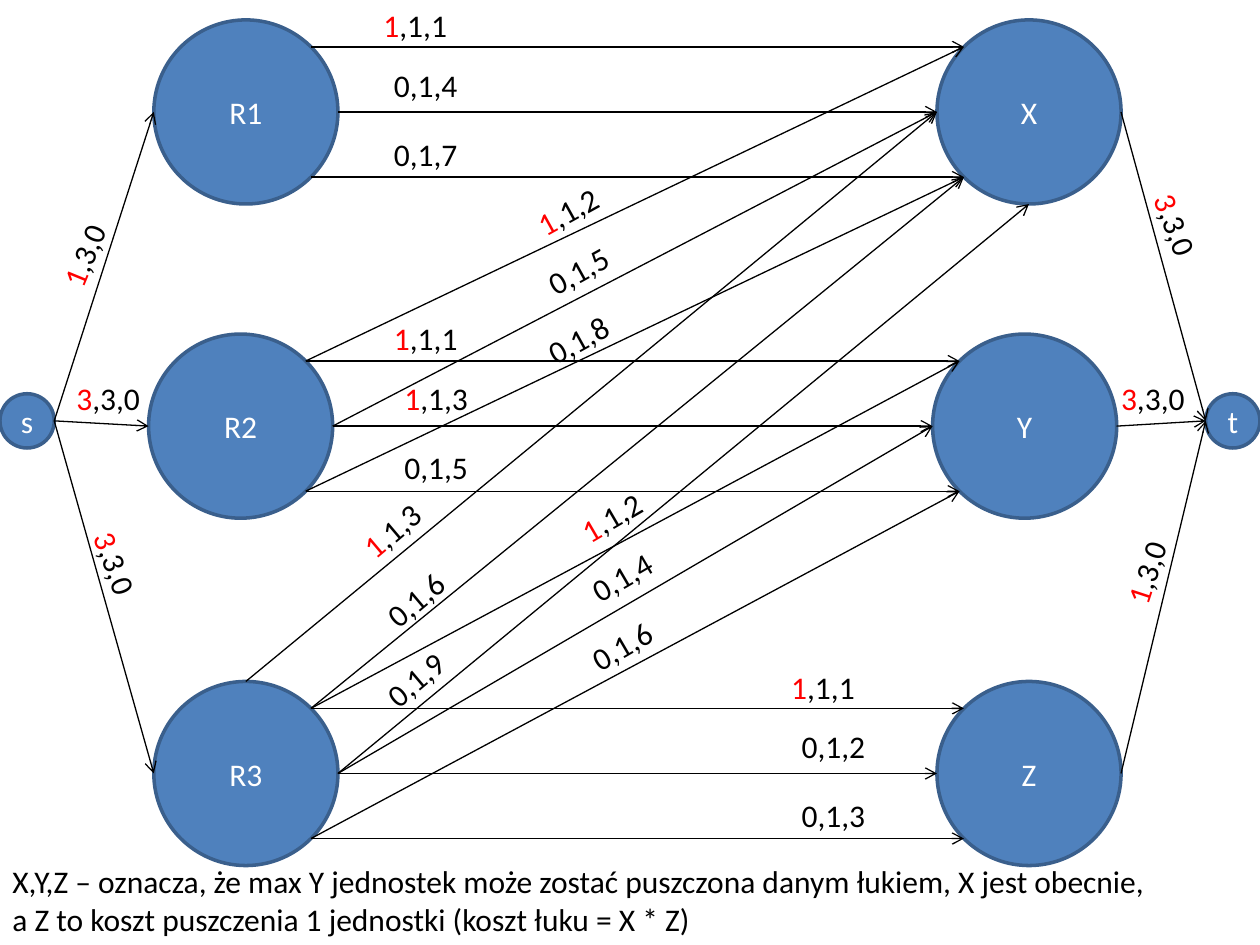
import math
from dataclasses import dataclass

import lxml.etree
import pptx
import pptx.dml.color
import pptx.enum.shapes
import pptx.enum.text
import pptx.oxml.ns
import pptx.util

Pt = pptx.util.Pt


@dataclass(frozen=True)
class Theme:
    font: str = "Calibri"
    size: float = 18
    node_fill: str = "4F81BD"
    node_line: str = "3A5F8C"
    node_text: str = "FFFFFF"
    ink: str = "000000"
    flow: str = "FF0000"
    node_line_width: float = 2
    arc_width: float = 0.75


THEME = Theme()
SMALL, LARGE = 15.5, 52.6
NODES = {
    "s": (15.5, 240.5, SMALL),
    "t": (704.5, 240.5, SMALL),
    "R1": (140.5, 64, LARGE),
    "R2": (137.5, 243.5, LARGE),
    "R3": (140.5, 442, LARGE),
    "X": (588, 64, LARGE),
    "Y": (585.5, 243.5, LARGE),
    "Z": (588, 442, LARGE),
}
SITE_ANGLES = {"E": 0, "SE": 45, "S": 90, "SW": 135, "W": 180, "NW": 225, "N": 270, "NE": 315}
PARALLEL_SITES = [("NE", "NW"), ("E", "W"), ("SE", "SW")]
STEEP_SITES = [("N", "W"), ("NE", "SW"), ("E", "S")]
ARC_BUNDLES = [
    ("R1", "X", PARALLEL_SITES),
    ("R2", "X", PARALLEL_SITES),
    ("R2", "Y", PARALLEL_SITES),
    ("R3", "X", STEEP_SITES),
    ("R3", "Y", PARALLEL_SITES),
    ("R3", "Z", PARALLEL_SITES),
]
LABEL_WIDTH, LABEL_HEIGHT = 51, 29
PARALLEL_OFFSETS = [(0, 0), (6, 34), (6, 73.5)]
STEEP_OFFSETS = [(0, 0), (13.5, 39.5), (13.5, 85)]
LABEL_BUNDLES = [
    (212, 0, 0, PARALLEL_OFFSETS, ["1,1,1", "0,1,4", "0,1,7"]),
    (299, 106, 331, PARALLEL_OFFSETS, ["1,1,2", "0,1,5", "0,1,8"]),
    (218, 179, 0, PARALLEL_OFFSETS, ["1,1,1", "1,1,3", "0,1,5"]),
    (198.5, 288.5, 319.8, STEEP_OFFSETS, ["1,1,3", "0,1,6", "0,1,9"]),
    (324, 281, 329.7, PARALLEL_OFFSETS, ["1,1,2", "0,1,4", "0,1,6"]),
    (445, 378, 0, PARALLEL_OFFSETS, ["1,1,1", "0,1,2", "0,1,3"]),
]
TERMINAL_LABELS = [
    ("1,3,0", 22.5, 131, 292.3),
    ("3,3,0", 36.5, 213, 0),
    ("3,3,0", 40.5, 307.5, 69.6),
    ("3,3,0", 646.5, 114, 69.2),
    ("3,3,0", 633.5, 213, 0),
    ("1,3,0", 629.5, 312.5, 288.1),
]
LEGEND = [
    "X,Y,Z – oznacza, że max Y jednostek może zostać puszczona danym łukiem, X jest obecnie,",
    "a Z to koszt puszczenia 1 jednostki (koszt łuku = X * Z)",
]


def rgb(value):
    return pptx.dml.color.RGBColor.from_string(value)


def style_paragraph(paragraph, color):
    paragraph.font.name = THEME.font
    paragraph.font.size = Pt(THEME.size)
    paragraph.font.color.rgb = rgb(color)


def add_node(slide, name):
    x, y, radius = NODES[name]
    shape = slide.shapes.add_shape(
        pptx.enum.shapes.MSO_SHAPE.OVAL,
        Pt(x - radius), Pt(y - radius), Pt(2 * radius), Pt(2 * radius),
    )
    shape.shadow.inherit = False
    shape.fill.solid()
    shape.fill.fore_color.rgb = rgb(THEME.node_fill)
    shape.line.color.rgb = rgb(THEME.node_line)
    shape.line.width = Pt(THEME.node_line_width)
    shape.text_frame.vertical_anchor = pptx.enum.text.MSO_ANCHOR.MIDDLE
    paragraph = shape.text_frame.paragraphs[0]
    paragraph.text = name
    paragraph.alignment = pptx.enum.text.PP_ALIGN.CENTER
    style_paragraph(paragraph, THEME.node_text)


def site_point(name, site):
    x, y, radius = NODES[name]
    angle = math.radians(SITE_ANGLES[site])
    return Pt(x + radius * math.cos(angle)), Pt(y + radius * math.sin(angle))


def add_arc(slide, source, source_site, target, target_site):
    connector = slide.shapes.add_connector(
        pptx.enum.shapes.MSO_CONNECTOR.STRAIGHT,
        *site_point(source, source_site), *site_point(target, target_site),
    )
    connector.line.color.rgb = rgb(THEME.ink)
    connector.line.width = Pt(THEME.arc_width)
    qn = pptx.oxml.ns.qn
    properties = connector.element.spPr
    line = properties.find(qn("a:ln"))
    lxml.etree.SubElement(line, qn("a:tailEnd"), type="arrow")
    lxml.etree.SubElement(properties, qn("a:effectLst"))


def add_text_box(slide, left, top, width, height):
    box = slide.shapes.add_textbox(Pt(left), Pt(top), Pt(width), Pt(height))
    box.text_frame.word_wrap = False
    box.text_frame.auto_size = pptx.enum.text.MSO_AUTO_SIZE.SHAPE_TO_FIT_TEXT
    return box


def add_label(slide, text, left, top, rotation):
    box = add_text_box(slide, left, top, LABEL_WIDTH, LABEL_HEIGHT)
    box.rotation = rotation
    paragraph = box.text_frame.paragraphs[0]
    style_paragraph(paragraph, THEME.ink)
    flow, rest = text[0], text[1:]
    if flow == "0":
        paragraph.text = text
        return
    for part, color in ((flow, THEME.flow), (rest, THEME.ink)):
        run = paragraph.add_run()
        run.text = part
        run.font.color.rgb = rgb(color)


def add_legend(slide):
    box = add_text_box(slide, 0, 489, 669.5, 51)
    box.text_frame.text = "\n".join(LEGEND)
    for paragraph in box.text_frame.paragraphs:
        style_paragraph(paragraph, THEME.ink)


def main():
    presentation = pptx.Presentation()
    presentation.slide_width = Pt(720)
    presentation.slide_height = Pt(540)
    slide = presentation.slides.add_slide(presentation.slide_layouts[6])
    for name in NODES:
        add_node(slide, name)
    for name in ("R1", "R2", "R3"):
        add_arc(slide, "s", "E", name, "W")
    for name in ("X", "Y", "Z"):
        add_arc(slide, name, "E", "t", "W")
    for source, target, sites in ARC_BUNDLES:
        for source_site, target_site in sites:
            add_arc(slide, source, source_site, target, target_site)
    for label in TERMINAL_LABELS:
        add_label(slide, *label)
    for left, top, rotation, offsets, texts in LABEL_BUNDLES:
        for (dx, dy), text in zip(offsets, texts):
            add_label(slide, text, left + dx, top + dy, rotation)
    add_legend(slide)
    presentation.save("out.pptx")


main()
